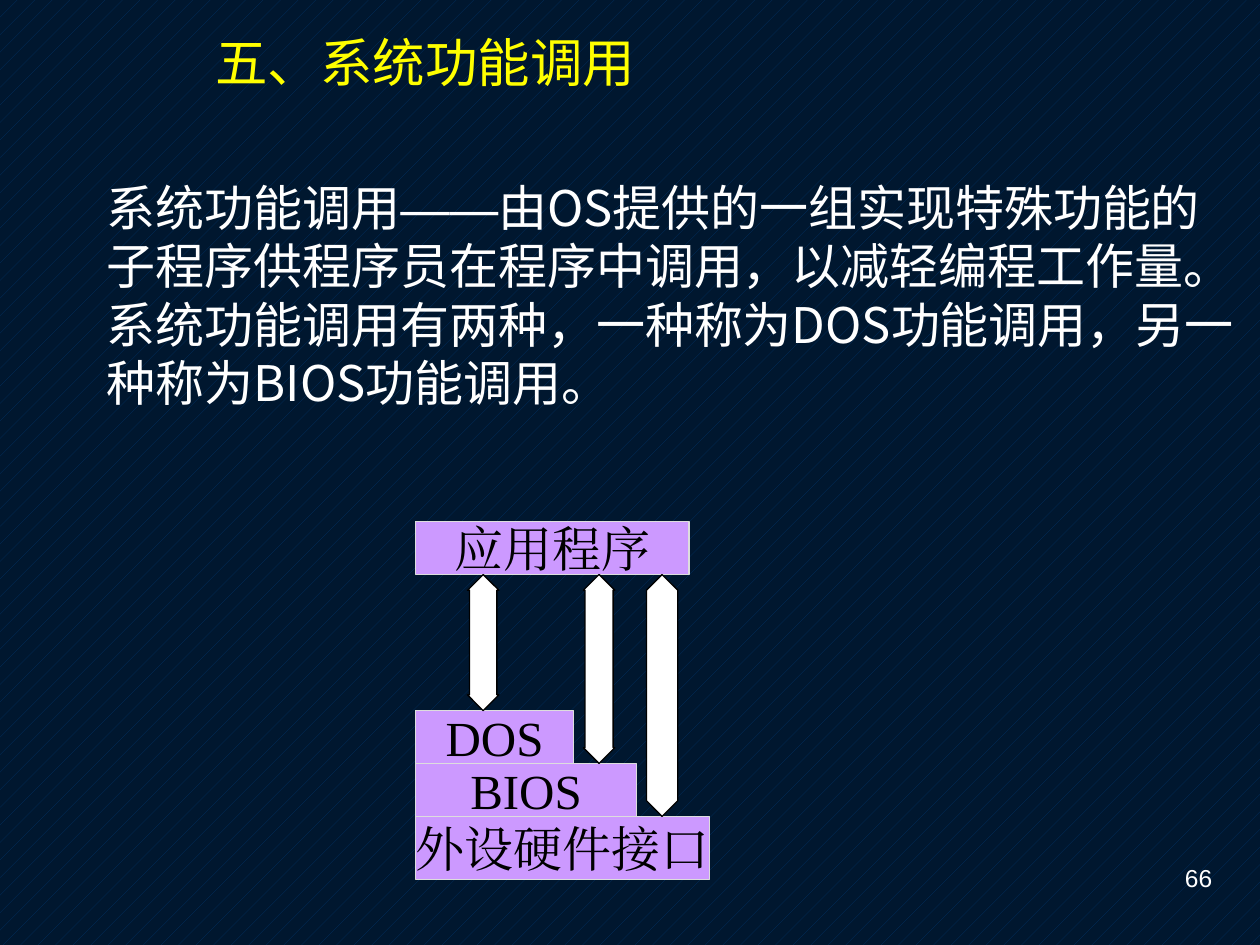
import pptx
import pptx.util
import pptx.dml.color
import pptx.enum.dml
import pptx.enum.shapes
import pptx.enum.text
import pptx.oxml
import pptx.oxml.ns
from pptx.util import Inches

ALIGN = pptx.enum.text.PP_ALIGN
ANCHOR = pptx.enum.text.MSO_ANCHOR
SHAPE = pptx.enum.shapes.MSO_SHAPE


def color(hex_string):
    return pptx.dml.color.RGBColor.from_string(hex_string)


class Board:
    """Holds the style and the slide being drawn."""

    sans, cjk, label = "Arial", "Noto Sans CJK JP", "Times New Roman"
    heading = "DejaVu Sans"
    yellow, white, black = "FFFF00", "FFFFFF", "000000"
    layer_fill, layer_edge = "CC99FF", "DDDDDD"

    def __init__(self, slide):
        self.slide = slide

    def background(self, fore, back):
        fill = self.slide.background.fill
        fill.patterned()
        fill.pattern = pptx.enum.dml.MSO_PATTERN.PERCENT_5
        fill.fore_color.rgb = color(fore)
        fill.back_color.rgb = color(back)

    def run(self, paragraph, words, face, size, hex_color):
        """Add a run whose Latin and East Asian text share one font."""
        run = paragraph.add_run()
        run.text = words
        run.font.name = face
        run.font.size = pptx.util.Pt(size)
        run.font.color.rgb = color(hex_color)
        east_asian = pptx.oxml.parse_xml(
            f'<a:ea {pptx.oxml.ns.nsdecls("a")} typeface="{face}"/>')
        run.font._element.find(pptx.oxml.ns.qn("a:latin")).addnext(east_asian)

    def text(self, box, paragraphs, size, hex_color, align=ALIGN.LEFT,
             anchor=ANCHOR.TOP, line_spacing=None, top_inset=0.05):
        """Add a text box; each paragraph is a list of (words, font) runs."""
        frame = self.slide.shapes.add_textbox(*map(Inches, box)).text_frame
        frame.word_wrap = True
        frame.vertical_anchor = anchor
        frame.margin_top = Inches(top_inset)
        for index, runs in enumerate(paragraphs):
            paragraph = frame.add_paragraph() if index else frame.paragraphs[0]
            paragraph.alignment = align
            if line_spacing:
                paragraph.line_spacing = pptx.util.Pt(line_spacing)
            for words, face in runs:
                self.run(paragraph, words, face, size, hex_color)

    def shape(self, kind, box, fill, edge):
        shape = self.slide.shapes.add_shape(kind, *map(Inches, box))
        shape.shadow.inherit = False
        shape.fill.solid()
        shape.fill.fore_color.rgb = color(fill)
        shape.line.color.rgb = color(edge)
        shape.line.width = pptx.util.Pt(0.75)
        return shape

    def layer(self, words, left, top, width, height):
        box = (left, top, width, height)
        frame = self.shape(SHAPE.RECTANGLE, box, self.layer_fill,
                           self.layer_edge).text_frame
        frame.word_wrap = False
        frame.vertical_anchor = ANCHOR.MIDDLE
        frame.margin_left = frame.margin_right = 0
        frame.margin_top = frame.margin_bottom = 0
        frame.paragraphs[0].alignment = ALIGN.CENTER
        self.run(frame.paragraphs[0], words, self.label, 28, self.black)

    def double_arrow(self, left, top, bottom, head):
        arrow = self.shape(SHAPE.UP_DOWN_ARROW, (left, top, 0.25, bottom - top),
                           self.white, self.black)
        arrow.adjustments[0] = 0.43
        arrow.adjustments[1] = head


def main():
    deck = pptx.Presentation()
    deck.slide_width, deck.slide_height = Inches(10), Inches(7.5)
    board = Board(deck.slides.add_slide(deck.slide_layouts[6]))
    board.background("003366", "00172F")

    board.text((1.61, 0.21, 3.93, 0.58), [[("五、系统功能调用", board.heading)]],
               30, board.yellow, anchor=ANCHOR.BOTTOM)
    definition = [
        ("系统功能调用", board.cjk),
        ("——", board.sans),
        ("由OS提供的一组实现特殊功能的子程序供程序员在程序中调用，以减轻编程工作量。", board.cjk),
    ]
    kinds = [("系统功能调用有两种，一种称为DOS功能调用，另一种称为BIOS功能调用。", board.cjk)]
    board.text((0.75, 1.31, 9.25, 1.97), [definition, kinds], 28, board.white,
               line_spacing=33.4, top_inset=0.1)

    left, row = 3.3, 0.42
    app_top, dos_top = 4.14, 5.64
    app_bottom = app_top + row
    bios_top = dos_top + row
    hardware_top = bios_top + row
    board.layer("应用程序", left, app_top, 2.17, row)
    board.layer("外设硬件接口", left, hardware_top, 2.33, 0.5)
    board.layer("BIOS", left, bios_top, 1.75, row)
    board.layer("DOS", left, dos_top, 1.25, row)

    for arrow_left, target_top, head in ((3.71, dos_top, 0.87),
                                         (4.63, bios_top, 0.89),
                                         (5.13, hardware_top, 0.99)):
        board.double_arrow(arrow_left, app_bottom, target_top, head)

    board.text((7.39, 6.8, 2.33, 0.5), [[("66", board.sans)]], 14, board.white,
               align=ALIGN.RIGHT)
    deck.save("out.pptx")


if __name__ == "__main__":
    main()
